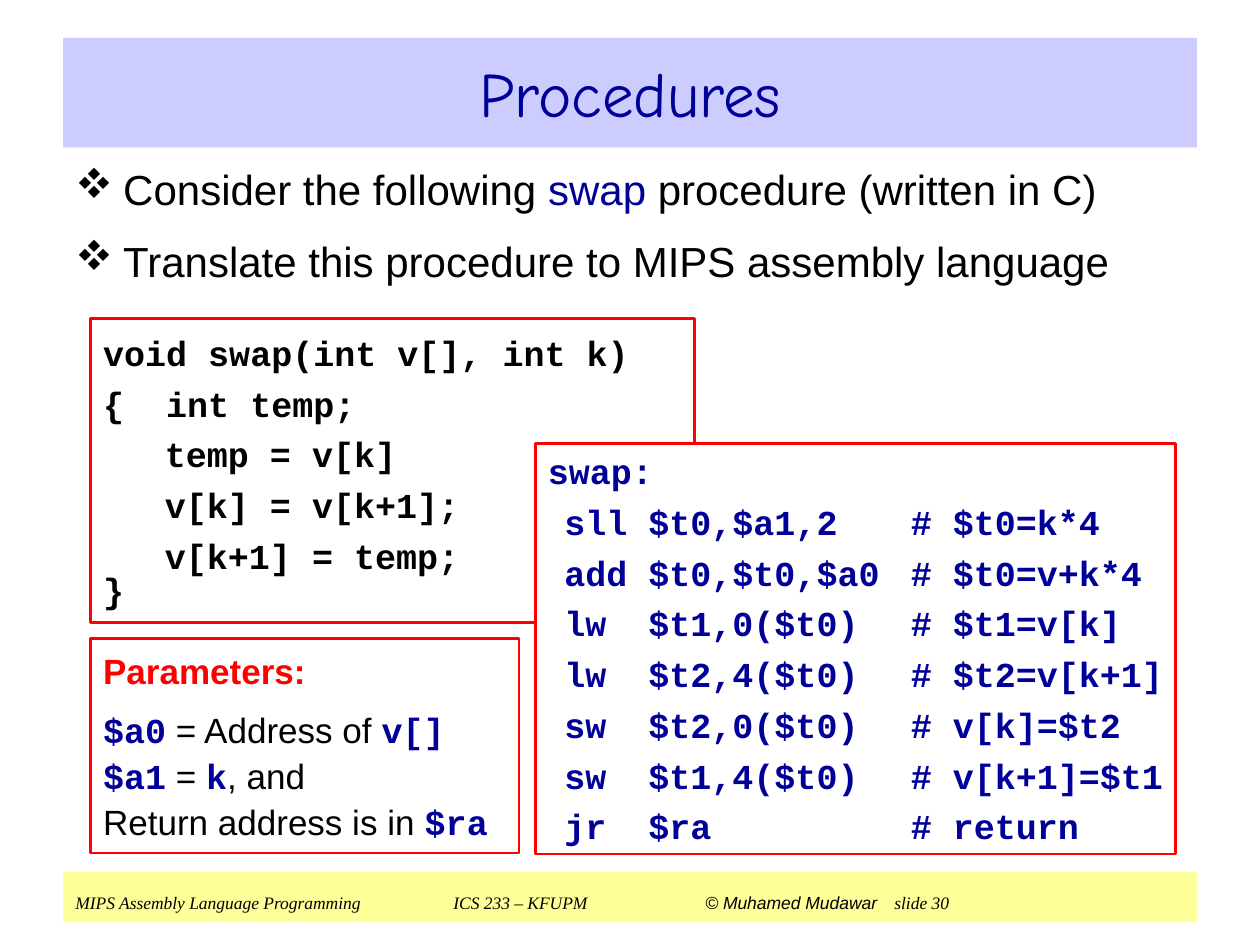
import pptx
import pptx.dml.color
import pptx.enum.shapes
import pptx.enum.text
import pptx.oxml
import pptx.oxml.ns
import pptx.util
from pptx.util import Inches

NAVY, RED, BLACK = "000099", "FF0000", "000000"
BODY = ("Arial", BLACK, False)
CODE = ("Courier New", NAVY, True)
ANCHOR = pptx.enum.text.MSO_ANCHOR

C_CODE = [
    "void swap(int v[], int k)",
    "{  int temp;",
    "\ttemp = v[k]",
    "\tv[k] = v[k+1];",
    "\tv[k+1] = temp;",
    "}",
]
ASSEMBLY = [
    "swap:",
    "\tsll $t0,$a1,2\t# $t0=k*4",
    "\tadd $t0,$t0,$a0\t# $t0=v+k*4",
    "\tlw  $t1,0($t0)\t# $t1=v[k]",
    "\tlw  $t2,4($t0)\t# $t2=v[k+1]",
    "\tsw  $t2,0($t0)\t# v[k]=$t2",
    "\tsw  $t1,4($t0)\t# v[k+1]=$t1",
    "\tjr  $ra\t# return",
]
PARAMETERS = [
    [("Parameters:", ("Arial", RED, True))],
    [("$a0", CODE), (" = Address of ", BODY), ("v[]", CODE)],
    [("$a1", CODE), (" = ", BODY), ("k", CODE), (", and", BODY)],
    [("Return address is in ", BODY), ("$ra", CODE)],
]
BULLETS = [
    [("Consider the following ", BODY), ("swap", ("Arial", NAVY, False)),
     (" procedure (written in C)", BODY)],
    [("Translate this procedure to MIPS assembly language", BODY)],
]


def rgb(color):
    return pptx.dml.color.RGBColor.from_string(color)


def style(r, size, font, color, bold=False, italic=False):
    r.font.size = pptx.util.Pt(size)
    r.font.name = font
    r.font.color.rgb = rgb(color)
    r.font.bold = bold
    r.font.italic = italic


def add_runs(p, parts, size):
    for text, look in parts:
        r = p.add_run()
        r.text = text
        style(r, size, *look)


def set_tabs(p, *stops):
    tabs = pptx.oxml.parse_xml(
        f'<a:tabLst {pptx.oxml.ns.nsdecls("a")}>'
        + "".join(f'<a:tab pos="{Inches(s)}" algn="l"/>' for s in stops)
        + "</a:tabLst>")
    p._p.get_or_add_pPr().append(tabs)


def set_bullet(p, indent, font, char):
    pPr = p._p.get_or_add_pPr()
    pPr.set("marL", str(Inches(indent)))
    pPr.set("indent", str(-Inches(indent)))
    ns = pptx.oxml.ns.nsdecls("a")
    for xml in (f'<a:buClr {ns}><a:srgbClr val="{BLACK}"/></a:buClr>',
                f'<a:buFont {ns} typeface="{font}" charset="2"/>',
                f'<a:buChar {ns} char="{char}"/>'):
        pPr.append(pptx.oxml.parse_xml(xml))


def paragraphs(tf, count):
    tf.text = "\n" * (count - 1)
    for p in tf.paragraphs:
        p.alignment = pptx.enum.text.PP_ALIGN.LEFT
    return tf.paragraphs


def add_box(s, box, fill=None, line=None, anchor=ANCHOR.TOP):
    sp = s.shapes.add_shape(pptx.enum.shapes.MSO_SHAPE.RECTANGLE,
                            *map(Inches, box))
    sp.shadow.inherit = False
    if fill:
        sp.fill.solid()
        sp.fill.fore_color.rgb = rgb(fill)
    else:
        sp.fill.background()
    if line:
        sp.line.color.rgb = rgb(line)
        sp.line.width = pptx.util.Pt(1.5)
    else:
        sp.line.fill.background()
    tf = sp.text_frame
    tf.word_wrap = True
    tf.vertical_anchor = anchor
    return tf


def add_title(s, box, text):
    sp = s.shapes.title
    sp.left, sp.top, sp.width, sp.height = map(Inches, box)
    sp.fill.solid()
    sp.fill.fore_color.rgb = rgb("CCCCFF")
    tf = sp.text_frame
    tf.text = text
    tf.vertical_anchor = ANCHOR.MIDDLE
    p = tf.paragraphs[0]
    p.alignment = pptx.enum.text.PP_ALIGN.CENTER
    style(p.runs[0], 36, "Comic Neue", NAVY)


def add_bullets(s, box, lines):
    tf = s.shapes.add_textbox(*map(Inches, box)).text_frame
    tf.word_wrap = True
    for p, parts in zip(paragraphs(tf, len(lines)), lines):
        p.space_before = pptx.util.Pt(12)
        set_bullet(p, 0.38, "Wingdings", "v")
        add_runs(p, parts, 24)


def fill_code(tf, lines, color, stops):
    for p, line in zip(paragraphs(tf, len(lines)), lines):
        p.space_before = pptx.util.Pt(5)
        set_tabs(p, *stops)
        add_runs(p, [(line, ("Courier New", color, True))], 20)


def add_c_code(s, box):
    tf = add_box(s, box, line=RED, anchor=ANCHOR.MIDDLE)
    tf.margin_top = tf.margin_bottom = Inches(0.1)
    fill_code(tf, C_CODE, BLACK, [0.49])
    brace = tf.paragraphs[-1]
    brace.space_before = pptx.util.Pt(0)
    brace.line_spacing = 0.8


def add_assembly(s, box):
    tf = add_box(s, box, fill="FFFFFF", line=RED)
    tf.margin_right = 0
    fill_code(tf, ASSEMBLY, NAVY, [0.13, 2.88])


def add_parameters(s, box):
    tf = add_box(s, box, line=RED)
    for p, parts in zip(paragraphs(tf, len(PARAMETERS)), PARAMETERS):
        p.line_spacing = 1.1
        add_runs(p, parts, 20)
    tf.paragraphs[1].space_before = pptx.util.Pt(7.5)


def add_footer(s, box):
    tf = add_box(s, box, fill="FFFF99")
    p = paragraphs(tf, 1)[0]
    p.space_before = pptx.util.Pt(6.2)
    set_tabs(p, 3, 5, 6.5)
    serif = ("Times New Roman", BLACK, False, True)
    sans = ("Arial", BLACK, False, True)
    add_runs(p, [("MIPS Assembly Language Programming\tICS 233 – KFUPM\t", serif),
                 ("© Muhamed Mudawar", sans)], 10)
    add_runs(p, [("\t", BODY)], 18)
    add_runs(p, [("slide 30", serif)], 10)


def main():
    prs = pptx.Presentation()
    prs.slide_width, prs.slide_height = Inches(10), Inches(7.5)
    s = prs.slides.add_slide(prs.slide_layouts[5])
    add_title(s, (0.5, 0.3, 9, 0.87), "Procedures")
    add_footer(s, (0.5, 6.92, 9, 0.4))
    add_parameters(s, (0.72, 5.07, 3.4, 1.7))
    add_bullets(s, (0.5, 1.25, 9, 5.63), BULLETS)
    add_c_code(s, (0.72, 2.53, 4.79, 2.41))
    add_assembly(s, (4.25, 3.52, 5.08, 3.26))
    prs.save("out.pptx")


if __name__ == "__main__":
    main()
